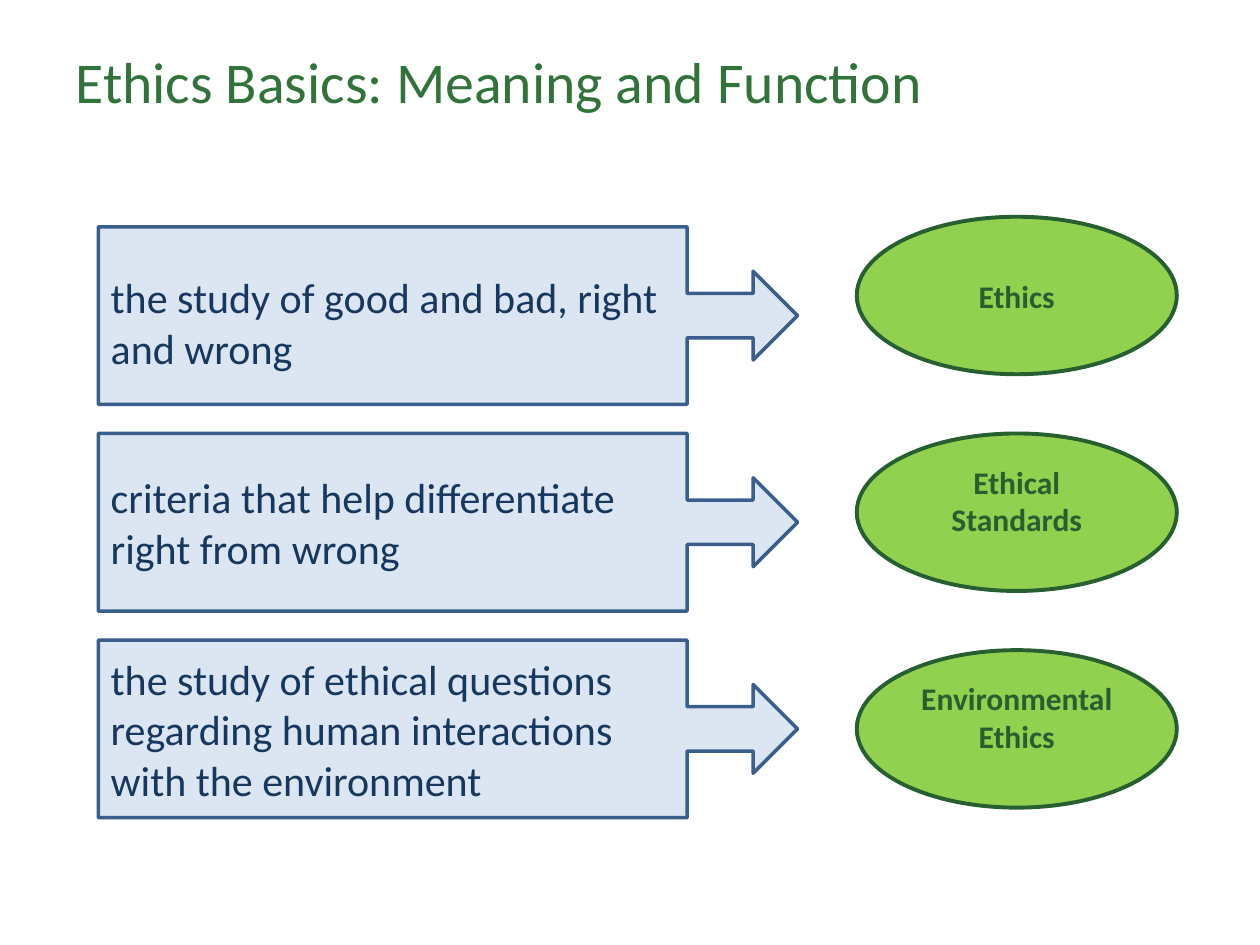
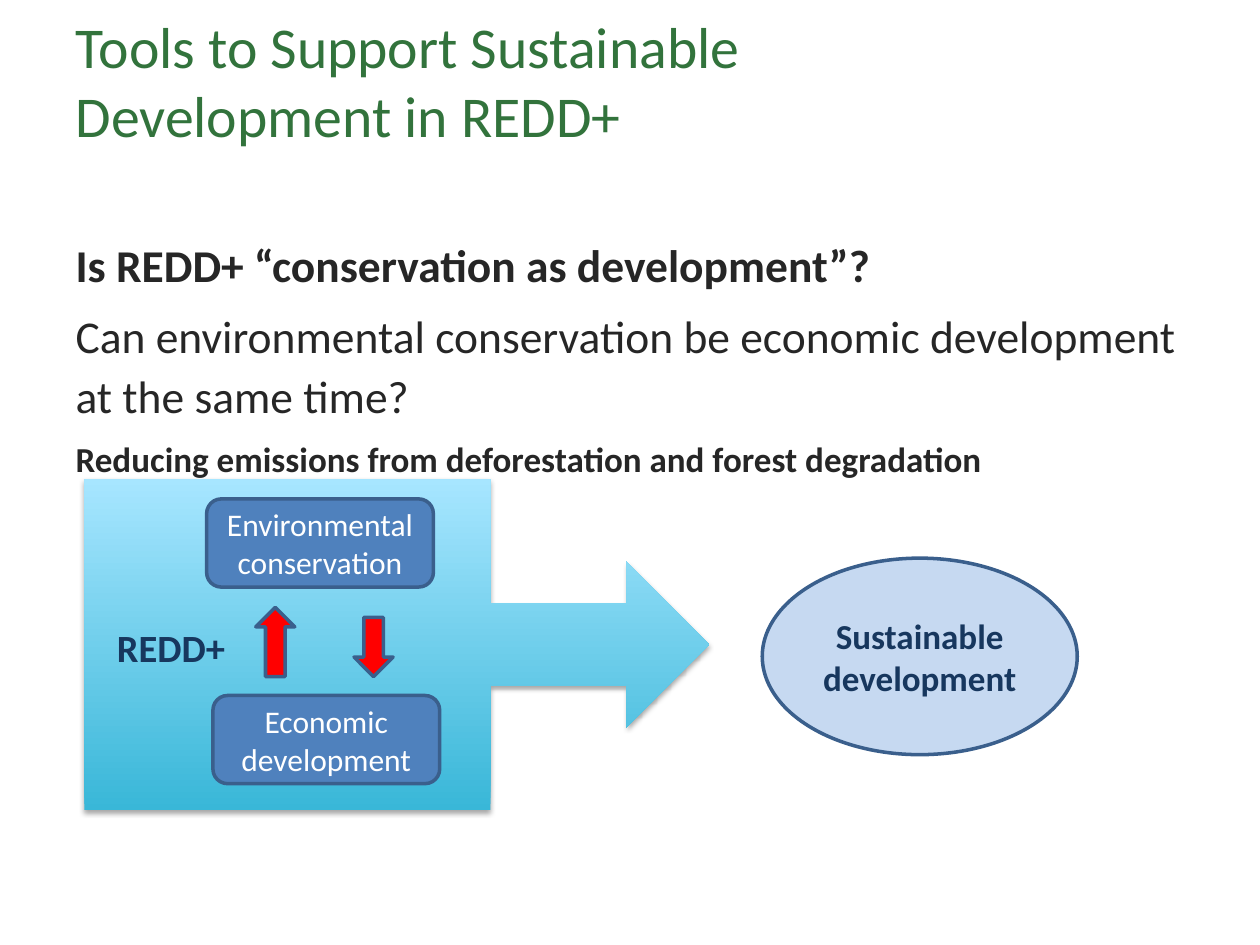
from lxml.etree import SubElement
from pptx import Presentation
from pptx.dml.color import RGBColor
from pptx.enum.shapes import MSO_SHAPE as SHAPE
from pptx.enum.text import MSO_ANCHOR as ANCHOR, MSO_AUTO_SIZE as AUTO, PP_ALIGN as ALIGN
from pptx.oxml.ns import qn
from pptx.util import Inches, Pt

# Shared style
FONT = "Calibri"
TITLE, DARK_GREEN, LIME = "32733C", "285F30", "92D050"
NAVY, BORDER, PALE, SKY = "17375E", "3A5F8C", "DCE6F2", "C6D9F1"
BLUE, RED, WHITE, INK = "4F81BD", "FF0000", "FFFFFF", "262626"
rgb = RGBColor.from_string


def write(tf, text, size=18, color=NAVY, bold=False, align=ALIGN.LEFT,
          anchor=ANCHOR.MIDDLE):
    """Put text in the first paragraph, or in a new one if that is taken."""
    tf.word_wrap = True
    tf.vertical_anchor = anchor
    p = tf.add_paragraph() if tf.text else tf.paragraphs[0]
    p.alignment = align
    r = p.add_run()
    r.text = text
    r.font.name, r.font.size, r.font.bold = FONT, Pt(size), bold
    r.font.color.rgb = rgb(color)
    return p


def add(s, kind, box, fill, line=BORDER, width=2):
    sp = s.shapes.add_shape(kind, *map(Inches, box))
    sp.shadow.inherit = False
    sp.fill.solid()
    sp.fill.fore_color.rgb = rgb(fill)
    sp.line.color.rgb = rgb(line)
    sp.line.width = Pt(width)
    return sp


prs = Presentation()
prs.slide_width, prs.slide_height = Inches(10), Inches(7.5)

# Slides with their outlined titles
TITLES = [(5, "Ethics Basics: Meaning and Function"),
          (1, "Tools to Support Sustainable Development in REDD+")]
for layout, text in TITLES:
    s = prs.slides.add_slide(prs.slide_layouts[layout])
    title = s.shapes.title
    title.left, title.top, title.width, title.height = map(Inches, (0.5, 0.09, 7.36, 1.09))
    title.text_frame.auto_size = AUTO.NONE
    p = write(title.text_frame, text, size=33, color=TITLE)
    rPr = p.runs[0].font._element
    ln = rPr.makeelement(qn("a:ln"), {"w": str(Pt(0.25))})
    SubElement(SubElement(ln, qn("a:solidFill")), qn("a:srgbClr"), val=DARK_GREEN)
    rPr.insert(0, ln)

# Slide 1: definitions pointing to terms
s = prs.slides[0]
DEFINITIONS = [
    ("Ethics", "the study of good and bad, right and wrong"),
    ("Ethical Standards", "criteria that help differentiate right from wrong"),
    ("Environmental Ethics",
     "the study of ethical questions regarding human interactions with the environment"),
]
for i, (term, meaning) in enumerate(DEFINITIONS):
    oval = add(s, SHAPE.OVAL, (6.8, 1.72 * (i + 1), 2.54, 1.25), LIME, DARK_GREEN, 2.25)
    write(oval.text_frame, term, color=DARK_GREEN, bold=True, align=ALIGN.CENTER,
          anchor=ANCHOR.TOP if i else ANCHOR.MIDDLE)
    callout = add(s, SHAPE.RIGHT_ARROW_CALLOUT, (0.78, 1.8 + 1.64 * i, 5.55, 1.41), PALE)
    callout.adjustments[3] = 0.842
    callout.text_frame.margin_top = Inches(0.05 if i else 0.15)
    write(callout.text_frame, meaning, size=24)

# Slide 2: questions
s = prs.slides[1]
body = s.placeholders[1]
body.left, body.top, body.width, body.height = map(Inches, (0.5, 1.79, 9, 5.49))
body.text_frame.auto_size = AUTO.NONE
QUESTIONS = [
    ("Is REDD+ “conservation as development”?", 26, True),
    ("Can environmental conservation be economic development at the same time?", 26, False),
    ("Reducing emissions from deforestation and forest degradation", 20, True),
]
for i, (text, size, bold) in enumerate(QUESTIONS):
    p = write(body.text_frame, text, size, INK, bold, anchor=ANCHOR.TOP)
    p.line_spacing = 1.1
    p.space_before, p.space_after = Pt(3 if i else 0), Pt(3)
    pPr = p._p.get_or_add_pPr()
    pPr.set("marL", "0")
    pPr.set("indent", "0")
    SubElement(pPr, qn("a:buNone"))

# Gradient callout with a soft shadow
redd = add(s, SHAPE.RIGHT_ARROW_CALLOUT, (0.67, 3.8, 4.96, 2.63), SKY)
redd.line.fill.background()
redd.fill.gradient()
redd.fill.gradient_angle = 90
for stop, (position, color) in zip(redd.fill.gradient_stops, [(0, "39B7D8"), (1, "A7E6FF")]):
    stop.position, stop.color.rgb = position, rgb(color)
effects = redd._element.spPr.find(qn("a:effectLst"))
shadow = SubElement(effects, qn("a:outerShdw"), blurRad=str(Pt(3.1)), dist=str(Pt(1.8)),
                    dir="5400000", rotWithShape="0")
SubElement(SubElement(shadow, qn("a:srgbClr"), val="000000"), qn("a:alpha"), val="35000")

# Goals and the arrows between them
for x, y, goal in [(1.64, 3.96, "Environmental conservation"),
                   (1.69, 5.52, "Economic development")]:
    sp = add(s, SHAPE.ROUNDED_RECTANGLE, (x, y, 1.8, 0.7), BLUE)
    write(sp.text_frame, goal, color=WHITE, align=ALIGN.CENTER)
add(s, SHAPE.UP_ARROW, (2.03, 4.82, 0.31, 0.55), RED)
add(s, SHAPE.DOWN_ARROW, (2.81, 4.9, 0.31, 0.47), RED)

# Outcome and label
outcome = add(s, SHAPE.OVAL, (6.05, 4.43, 2.5, 1.56), SKY)
write(outcome.text_frame, "Sustainable development", size=20, bold=True, align=ALIGN.CENTER)
label = s.shapes.add_textbox(*map(Inches, (0.83, 4.9, 1.15, 0.47)))
write(label.text_frame, "REDD+", size=22, bold=True, anchor=ANCHOR.TOP)

prs.save("out.pptx")
